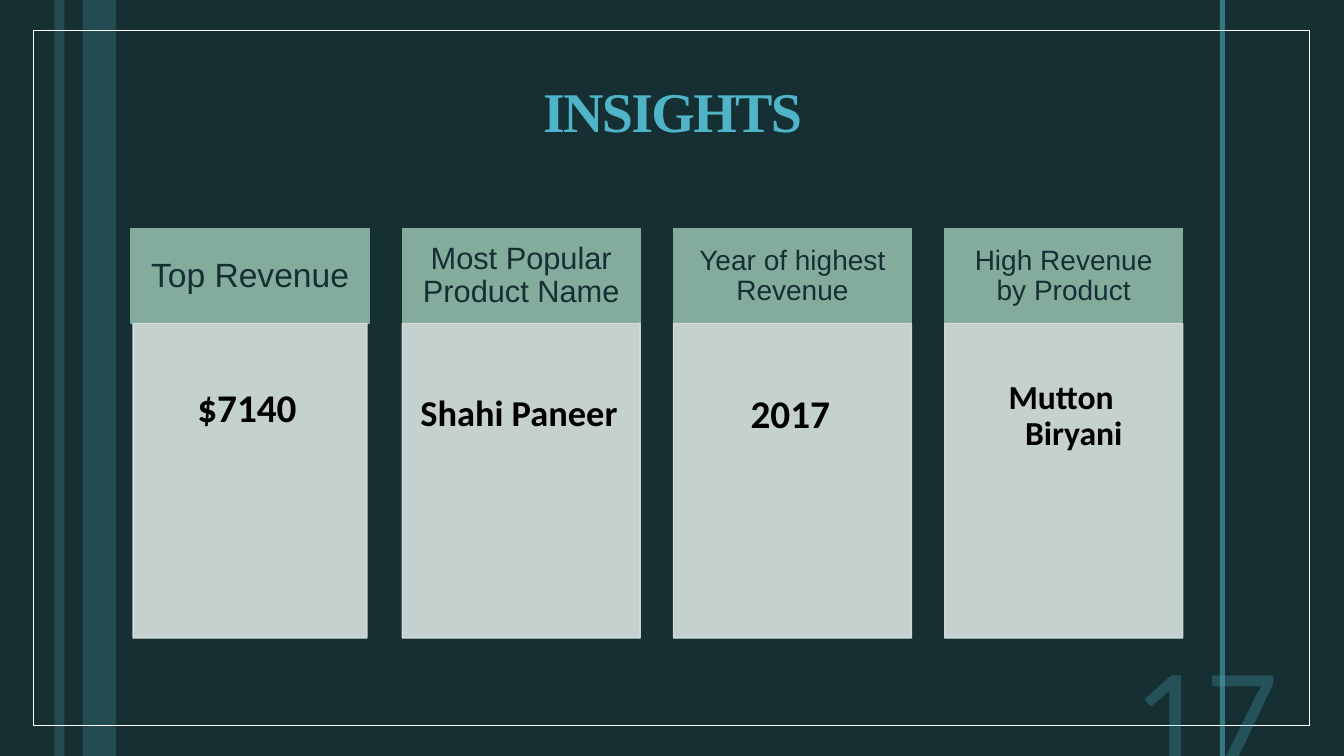
"""Build the INSIGHTS slide: four headed cards on a dark striped background."""
from dataclasses import dataclass

from lxml.etree import SubElement
from pptx import Presentation
from pptx.dml.color import RGBColor
from pptx.enum.shapes import MSO_SHAPE as Preset
from pptx.enum.text import MSO_ANCHOR as Anchor, MSO_AUTO_SIZE as AutoSize, PP_ALIGN as Align
from pptx.oxml.ns import qn
from pptx.util import Inches, Pt

NIGHT = RGBColor(0x16, 0x2F, 0x33)
STRIPE = RGBColor(0x23, 0x4B, 0x52)
TEAL = RGBColor(0x37, 0x75, 0x7F)
AQUA = RGBColor(0x50, 0xB4, 0xC8)
SAGE = RGBColor(0x84, 0xAC, 0x9D)
MIST = RGBColor(0xD9, 0xE3, 0xDF)
WHITE = RGBColor(0xFF, 0xFF, 0xFF)
BLACK = RGBColor(0, 0, 0)

CARD_LEFT, CARD_PITCH, CARD_WIDTH = 1.3, 2.69, 2.36
HEADER_TOP, HEADER_HEIGHT = 2.27, 0.94
BODY_HEIGHT = 3.12


@dataclass
class Stripe:
    left: float
    width: float
    color: RGBColor


@dataclass
class Card:
    heading: str
    heading_size: int
    heading_inset: float
    value: str
    value_size: int
    body_width: float
    body_insets: tuple[float, float, float]
    hanging: float


STRIPES = [Stripe(0.82, 0.33, STRIPE), Stripe(0.54, 0.1, STRIPE), Stripe(12.1, 0.05, TEAL)]
CARDS = [
    Card("Top Revenue", 24, 0.19, "$7140", 28, 2.32, (0.16, 0.65, 0.22), 0.31),
    Card("Most Popular Product Name", 22, 0.17, "Shahi Paneer", 26, 2.36, (0.1, 0.71, 0.14), 0.25),
    Card("Year of highest Revenue", 20, 0.16, "2017", 28, 2.36, (0.1, 0.71, 0.14), 0.31),
    Card("High Revenue by Product", 20, 0.16, "Mutton Biryani", 24, 2.36, (0.14, 0.56, 0.19), 0.25),
]


def set_opacity(fill, percent: int) -> None:
    """Make a solid fill partly transparent."""
    color = fill._xPr.find(qn("a:solidFill"))[0]
    SubElement(color, qn("a:alpha")).set("val", str(percent * 1000))


def add_rectangle(slide, left: float, top: float, width: float, height: float,
                  fill: RGBColor | None = None, line: RGBColor | None = None):
    """Add a plain rectangle with optional fill and outline."""
    shape = slide.shapes.add_shape(
        Preset.RECTANGLE, Inches(left), Inches(top), Inches(width), Inches(height))
    shape.shadow.inherit = False
    if fill is None:
        shape.fill.background()
    else:
        shape.fill.solid()
        shape.fill.fore_color.rgb = fill
    if line is None:
        shape.line.fill.background()
    else:
        shape.line.color.rgb = line
        shape.line.width = Pt(1)
    return shape


def write_text(shape, text: str, size: int, font_name: str, color: RGBColor, align: Align,
               anchor: Anchor, bold: bool = False, spacing: float = 1.0):
    """Write one run into a shape and return its paragraph."""
    frame = shape.text_frame
    frame.word_wrap = True
    frame.auto_size = AutoSize.NONE
    frame.vertical_anchor = anchor
    paragraph = frame.paragraphs[0]
    paragraph.alignment = align
    paragraph.line_spacing = spacing
    paragraph.space_before = Pt(0)
    run = paragraph.add_run()
    run.text = text
    run.font.size = Pt(size)
    run.font.name = font_name
    run.font.bold = bold
    run.font.color.rgb = color
    return paragraph


def set_insets(shape, left: float, top: float, right: float, bottom: float) -> None:
    """Set the text margins of a shape."""
    frame = shape.text_frame
    frame.margin_left, frame.margin_top = Inches(left), Inches(top)
    frame.margin_right, frame.margin_bottom = Inches(right), Inches(bottom)


def add_card(slide, card: Card, left: float) -> None:
    """Draw a card's heading box and the value box below it."""
    header = add_rectangle(slide, left, HEADER_TOP, CARD_WIDTH, HEADER_HEIGHT, SAGE, SAGE)
    set_insets(header, card.heading_inset, 0.1, card.heading_inset, 0.1)
    write_text(header, card.heading, card.heading_size, "Arial", NIGHT,
               Align.CENTER, Anchor.MIDDLE, spacing=0.9)

    body_left = left + (CARD_WIDTH - card.body_width) / 2
    body = add_rectangle(slide, body_left, HEADER_TOP + HEADER_HEIGHT,
                         card.body_width, BODY_HEIGHT, MIST, MIST)
    set_opacity(body.fill, 90)
    set_opacity(body.line.fill, 90)
    set_insets(body, *card.body_insets, 0.16)
    paragraph = write_text(body, card.value, card.value_size, "Calibri", BLACK,
                           Align.CENTER, Anchor.TOP, bold=True, spacing=0.9)
    properties = paragraph._p.get_or_add_pPr()
    properties.set("marL", str(Inches(card.hanging)))
    properties.set("indent", str(-Inches(card.hanging)))


def add_title(slide) -> None:
    """Place and format the title placeholder."""
    title = slide.shapes.title
    title.left, title.top = Inches(0.42), Inches(0.42)
    title.width, title.height = Inches(12.5), Inches(1.45)
    paragraph = write_text(title, "INSIGHTS", 40, "Times New Roman", AQUA,
                           Align.CENTER, Anchor.MIDDLE, bold=True, spacing=0.85)
    paragraph.runs[0].font._element.set("spc", "-120")


def add_slide_number(slide) -> None:
    """Add the large translucent slide number."""
    number = slide.shapes.add_textbox(Inches(9.58), Inches(6.43), Inches(3.2), Inches(1.53))
    paragraph = write_text(number, "17", 103, "Calibri", AQUA, Align.RIGHT, Anchor.BOTTOM)
    set_opacity(paragraph.runs[0].font.fill, 25)


def main() -> None:
    """Build and save the presentation."""
    presentation = Presentation()
    presentation.slide_width, presentation.slide_height = Inches(13.33), Inches(7.5)
    slide = presentation.slides.add_slide(presentation.slide_layouts[5])
    slide.background.fill.solid()
    slide.background.fill.fore_color.rgb = NIGHT

    for stripe in STRIPES:
        add_rectangle(slide, stripe.left, 0, stripe.width, 7.5, stripe.color)
    add_rectangle(slide, 0.33, 0.3, 12.66, 6.9, line=WHITE)
    add_title(slide)
    add_slide_number(slide)
    for index, card in enumerate(CARDS):
        add_card(slide, card, CARD_LEFT + index * CARD_PITCH)

    presentation.save("out.pptx")


if __name__ == "__main__":
    main()
